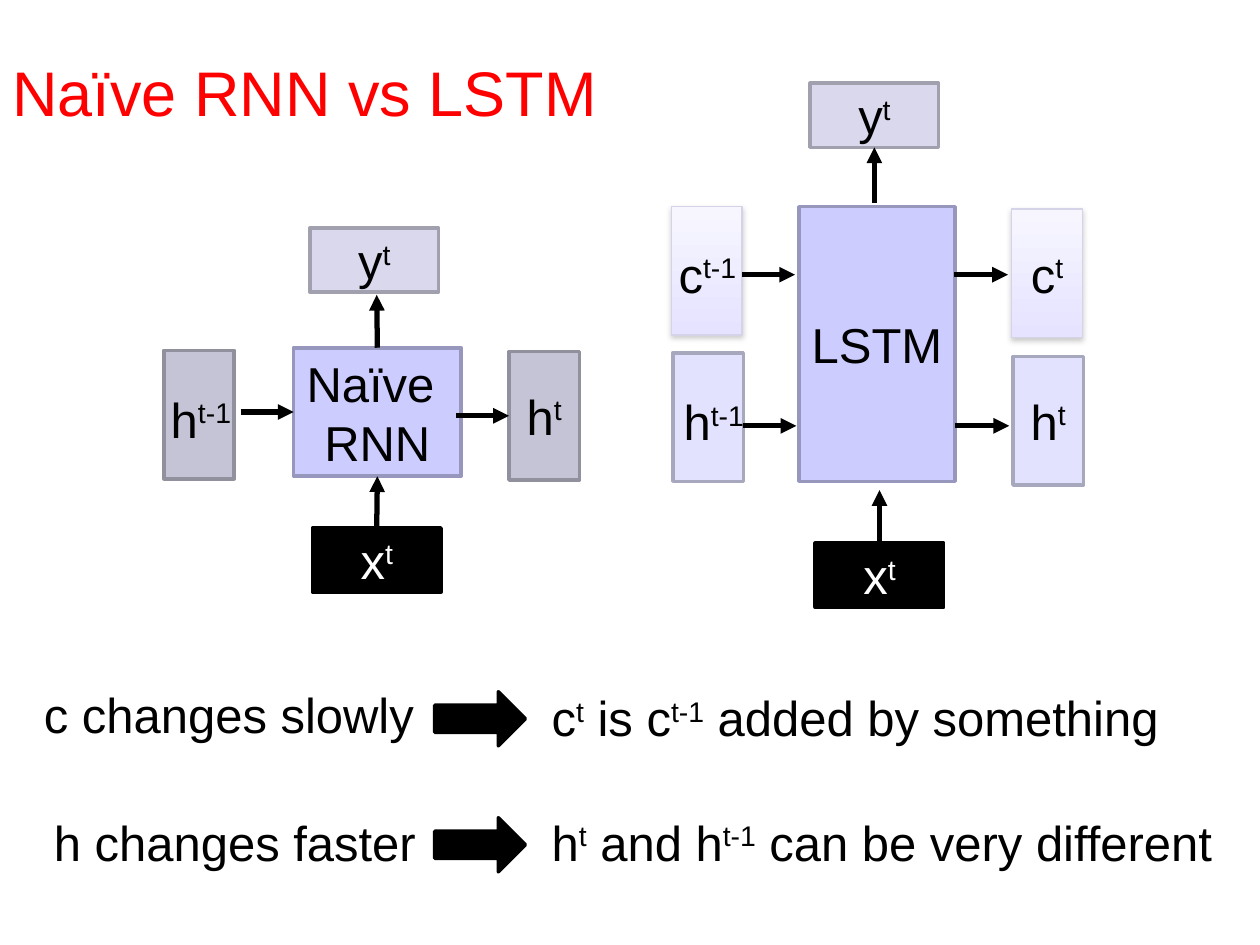
from dataclasses import dataclass

from lxml import etree
from pptx import Presentation, util as u
from pptx.dml.color import RGBColor
from pptx.enum import shapes, text
from pptx.oxml import ns

PX = 9144  # one px is a hundredth of an inch


@dataclass(frozen=True)
class Theme:
    font: str = "Arial"
    title_size: int = 36
    body_size: int = 28
    edge: float = 2
    soft_edge: float = 0.75
    arrow: float = 3
    red: str = "FF0000"
    black: str = "000000"
    white: str = "FFFFFF"
    shadow: str = "808080"


THEME = Theme()

# Box styles: fill (a pair is a gradient), edge, text colour
STYLES = {
    "cell": ("CCCCFF", "9797BD", THEME.black),
    "naive_h": ("C4C4D6", "91919E", THEME.black),
    "lstm_h": ("E2E2FF", "A7A7BD", THEME.black),
    "memory": (("F7F6FF", "E5E3FF"), "D4D3E7", THEME.black),
    "output": ("D9D8EC", "A1A0AF", THEME.black),
    "input": (THEME.black, THEME.black, THEME.white),
}
STATE, PORT = (56, 102), (102, 51)  # sizes of upright and flat boxes

# Text between ^ marks is superscript
TITLE = ("Naïve RNN vs LSTM", 0, 0, 523, 145)
STATEMENTS = [
    ("c changes slowly", 25, 538, 325, 57),
    ("h changes faster", 33, 640, 320, 57),
    ("c^t^ is c^t-1^ added by something", 428, 541, 522, 57),
    ("h^t^ and h^t-1^ can be very different", 428, 640, 572, 57),
]
IMPLICATIONS = [(345, 549), (345, 649)]

# name: (text, style, left, top, size)
BOXES = {
    "naive h in": ("", "naive_h", 130, 278, STATE),
    "naive cell": ("Naïve \nRNN", "cell", 233, 276, (133, 102)),
    "naive h out": ("h^t^", "naive_h", 404, 279, STATE),
    "naive y": ("y^t^", "output", 246, 181, PORT),
    "naive x": ("x^t^", "input", 248, 419, PORT),
    "lstm cell": ("LSTM", "cell", 634, 164, (124, 218)),
    "lstm c in": ("", "memory", 533, 164, STATE),
    "lstm y": ("y^t^", "output", 643, 66, PORT),
    "lstm x": ("x^t^", "input", 647, 431, PORT),
    "lstm h in": ("", "lstm_h", 534, 280, STATE),
    "lstm c out": ("c^t^", "memory", 803, 166, STATE),
    "lstm h out": ("h^t^", "lstm_h", 804, 283, STATE),
}

# Each end is a point or a (box name, side): 0 top, 1 left, 2 bottom, 3 right
ARROWS = [
    ((191, 327), ("naive cell", 1)),
    ((362, 330), ("naive h out", 1)),
    (("naive cell", 0), (299, 234)),
    (("naive x", 0), ("naive cell", 2)),
    ((589, 218), (631, 218)),
    ((694, 161), ("lstm y", 2)),
    (("lstm x", 0), (698, 389)),
    ((590, 338), (632, 338)),
    ((757, 218), (800, 218)),
    ((758, 338), (801, 338)),
]

# Labels wider than the box below them
WIDE_LABELS = [
    ("h^t-1^", 123, 304, 73, 57),
    ("h^t-1^", 530, 306, 73, 57),
    ("c^t-1^", 528, 189, 67, 57),
]


def emu(*lengths):
    return [u.Emu(length * PX) for length in lengths]


def rgb(value):
    return RGBColor.from_string(value)


def write(frame, wording, color, size=THEME.body_size, align=None):
    for index, line in enumerate(wording.split("\n")):
        para = frame.add_paragraph() if index else frame.paragraphs[0]
        para.alignment = align
        for part, piece in enumerate(line.split("^")):
            if not piece:
                continue
            span = para.add_run()
            span.text = piece
            span.font.name = THEME.font
            span.font.size = u.Pt(size)
            span.font.color.rgb = rgb(color)
            if part % 2:
                span.font._element.set("baseline", "30000")


def add_text(page, wording, *place, wrap=True, align=None):
    box = page.shapes.add_textbox(*emu(*place))
    box.text_frame.word_wrap = wrap
    box.text_frame.auto_size = text.MSO_AUTO_SIZE.SHAPE_TO_FIT_TEXT
    write(box.text_frame, wording, THEME.black, align=align)


def add_shadow(box):
    effects = box._element.spPr.find(ns.qn("a:effectLst"))
    outer = etree.SubElement(effects, ns.qn("a:outerShdw"), blurRad=str(u.Pt(3.1)),
                             dist=str(u.Pt(1.6)), dir="5400000", rotWithShape="0")
    color = etree.SubElement(outer, ns.qn("a:srgbClr"), val=THEME.shadow)
    etree.SubElement(color, ns.qn("a:alpha"), val="38000")


def add_shape(page, kind, fill, edge, *place):
    box = page.shapes.add_shape(kind, *emu(*place))
    box.shadow.inherit = False
    box.line.color.rgb = rgb(edge)
    box.line.width = u.Pt(THEME.edge)
    if isinstance(fill, tuple):
        box.fill.gradient()
        box.fill.gradient_angle = 270
        for stop, color in zip(box.fill.gradient_stops, fill):
            stop.color.rgb = rgb(color)
        box.line.width = u.Pt(THEME.soft_edge)
        add_shadow(box)
    else:
        box.fill.solid()
        box.fill.fore_color.rgb = rgb(fill)
    return box


def add_box(page, wording, style, left, top, size):
    fill, edge, ink = STYLES[style]
    box = add_shape(page, shapes.MSO_SHAPE.RECTANGLE, fill, edge, left, top, *size)
    if wording:
        box.text_frame.vertical_anchor = text.MSO_ANCHOR.MIDDLE
        write(box.text_frame, wording, ink, align=text.PP_ALIGN.CENTER)
    return box


def add_arrow(page, boxes, start, end):
    joined = [isinstance(point[0], str) for point in (start, end)]
    points = [(0, 0) if join else point for join, point in zip(joined, (start, end))]
    line = page.shapes.add_connector(
        shapes.MSO_CONNECTOR.STRAIGHT, *emu(*points[0], *points[1]))
    if joined[0]:
        line.begin_connect(boxes[start[0]], start[1])
    if joined[1]:
        line.end_connect(boxes[end[0]], end[1])
    line.line.color.rgb = rgb(THEME.black)
    line.line.width = u.Pt(THEME.arrow)
    etree.SubElement(line.line._get_or_add_ln(), ns.qn("a:tailEnd"), type="triangle")
    etree.SubElement(line._element.spPr, ns.qn("a:effectLst"))


def main():
    deck = Presentation()
    deck.slide_width, deck.slide_height = emu(1000, 750)
    page = deck.slides.add_slide(deck.slide_layouts[6])

    # Title and statements
    wording, *place = TITLE
    title = page.shapes.add_textbox(*emu(*place))
    title.text_frame.word_wrap = True
    title.text_frame.vertical_anchor = text.MSO_ANCHOR.MIDDLE
    write(title.text_frame, wording, THEME.red, THEME.title_size)
    for statement in STATEMENTS:
        add_text(page, *statement)
    for left, top in IMPLICATIONS:
        add_shape(page, shapes.MSO_SHAPE.RIGHT_ARROW, THEME.black, THEME.black,
                  left, top, 72, 43)

    # Network diagrams
    boxes = {name: add_box(page, *box) for name, box in BOXES.items()}
    for start, end in ARROWS:
        add_arrow(page, boxes, start, end)
    for label in WIDE_LABELS:
        add_text(page, *label, wrap=False, align=text.PP_ALIGN.CENTER)

    deck.save("out.pptx")


if __name__ == "__main__":
    main()
